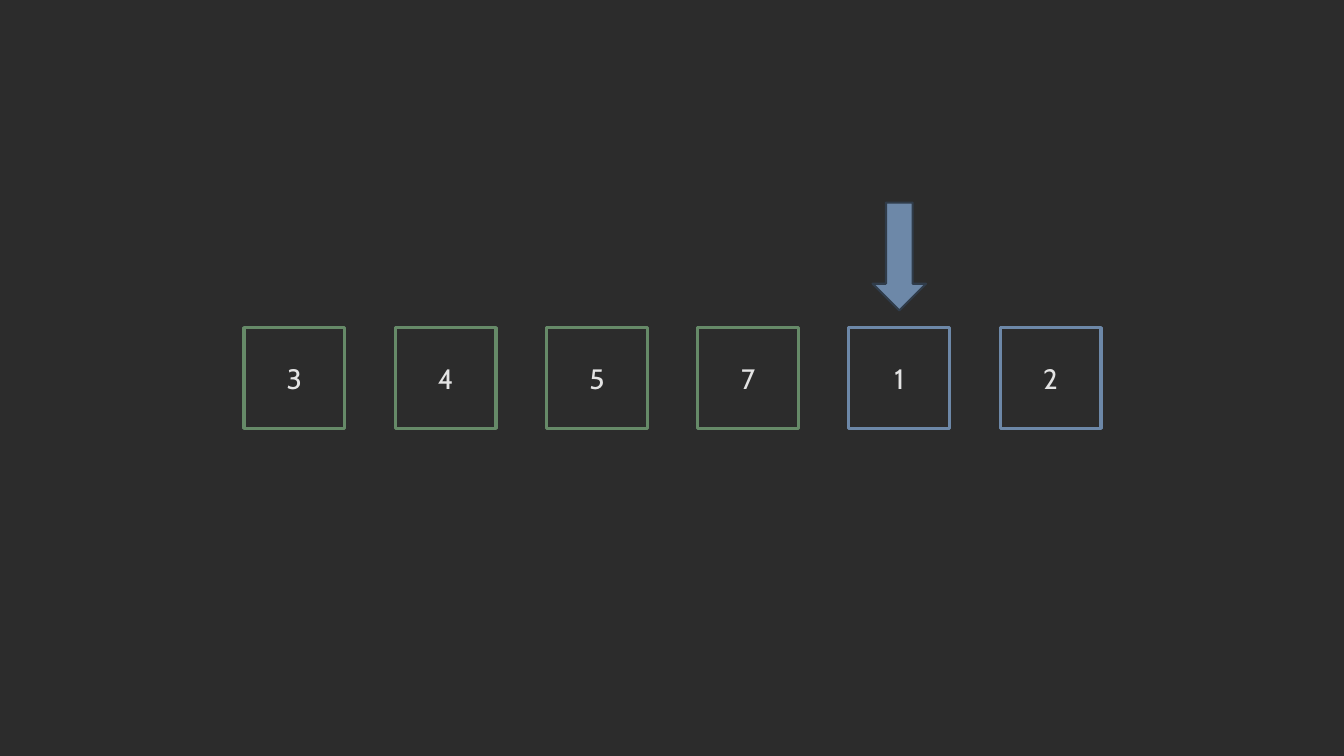
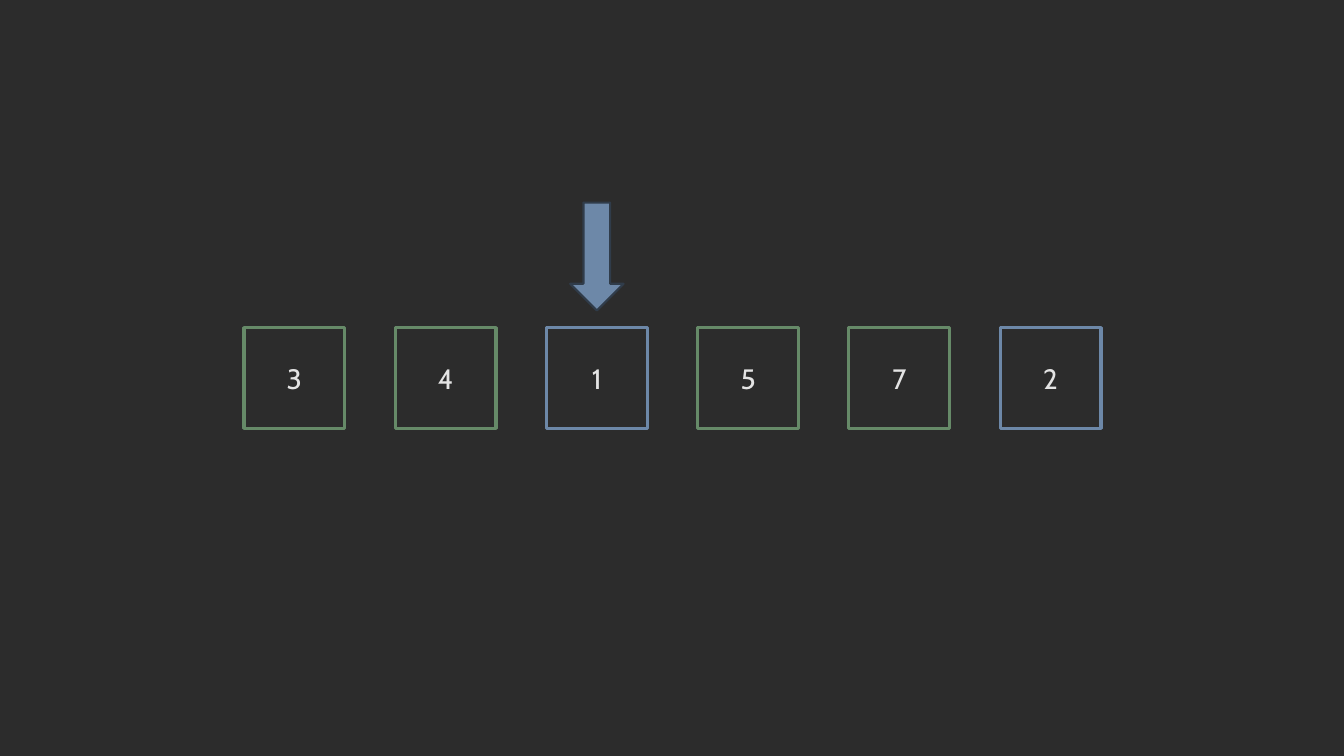
from pptx import Presentation
from pptx.dml.color import RGBColor
from pptx.enum.shapes import MSO_SHAPE
from pptx.enum.text import MSO_ANCHOR, PP_ALIGN
from pptx.util import Inches, Pt

RECT = MSO_SHAPE.RECTANGLE
ARROW = MSO_SHAPE.DOWN_ARROW
MIDDLE = MSO_ANCHOR.MIDDLE
CENTER = PP_ALIGN.CENTER

BACK = "2C2C2C"
TEXT = "E4E4E4"
GREEN = "668A68"
BLUE = "6D88A8"
NAVY = "303C4A"

LEFT, TOP = 2.42, 3.25
SIDE, STEP = 1, 1.5
WIDE, TALL = 0.53, 1.07

# Values in order, and the one the arrow points at
STATES = [("345712", "1"), ("341572", "1")]
SORTED = "3457"


def paint(color, value):
    color.rgb = RGBColor.from_string(value)


def add_box(slide, kind, left, top, width, height, edge, weight):
    """Add a shadowless preset shape with a coloured outline."""
    box = slide.shapes.add_shape(
        kind, Inches(left), Inches(top), Inches(width), Inches(height))
    box.shadow.inherit = False
    paint(box.line.color, edge)
    box.line.width = Pt(weight)
    return box


deck = Presentation()
deck.slide_width = Inches(13.33)
deck.slide_height = Inches(7.5)
blank = deck.slide_layouts[6]
fill = deck.slide_master.background.fill
fill.solid()
paint(fill.fore_color, BACK)

for values, target in STATES:
    slide = deck.slides.add_slide(blank)

    for i, value in enumerate(values):
        edge = GREEN if value in SORTED else BLUE
        cell = add_box(slide, RECT, LEFT + i * STEP, TOP, SIDE, SIDE, edge, 2.25)
        cell.fill.background()
        frame = cell.text_frame
        frame.vertical_anchor = MIDDLE
        para = frame.paragraphs[0]
        para.alignment = CENTER
        run = para.add_run()
        run.text = value
        run.font.name = "Cabin"
        run.font.size = Pt(20)
        paint(run.font.color, TEXT)

    left = LEFT + values.index(target) * STEP + (SIDE - WIDE) / 2
    arrow = add_box(slide, ARROW, left, 2.01, WIDE, TALL, NAVY, 1.5)
    arrow.fill.solid()
    paint(arrow.fill.fore_color, BLUE)

deck.save("out.pptx")
